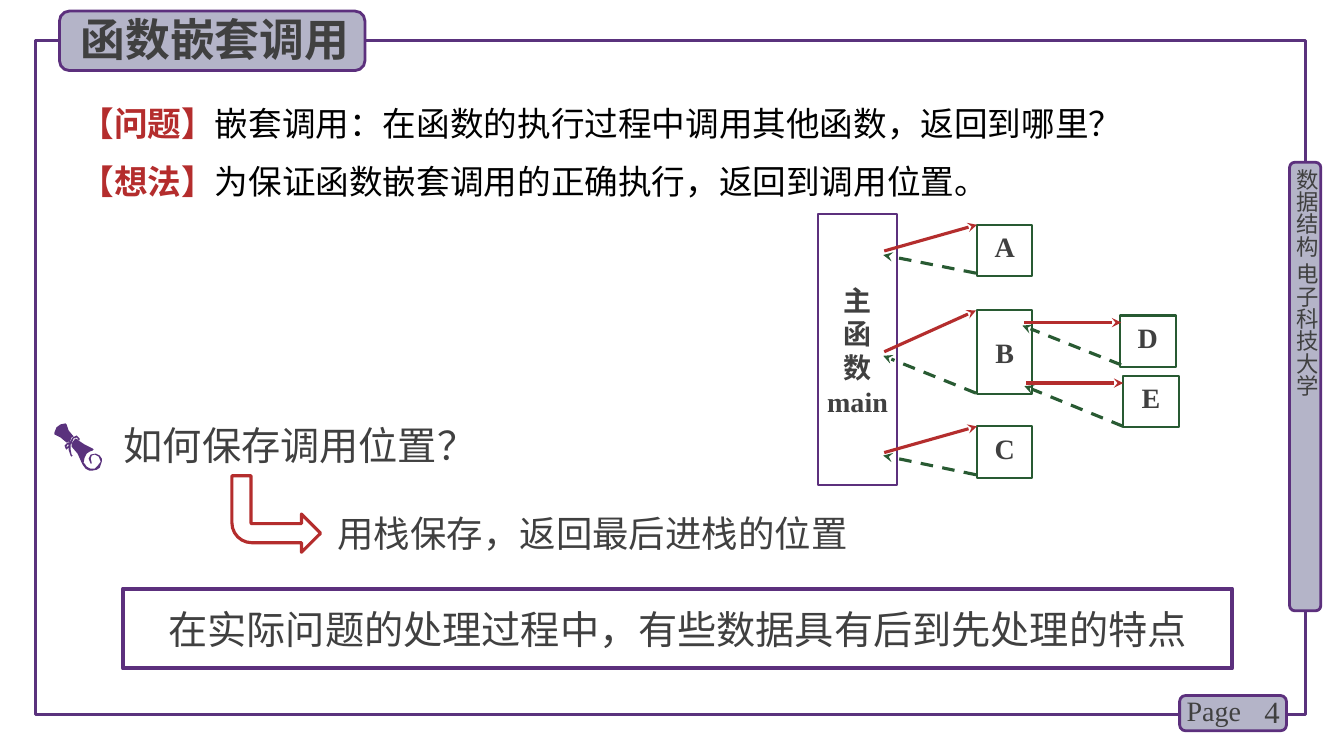
from pptx import Presentation
from pptx.dml.color import RGBColor
from pptx.enum.dml import MSO_LINE
from pptx.enum.shapes import MSO_CONNECTOR, MSO_SHAPE as SHAPE
from pptx.enum.text import MSO_ANCHOR as ANCHOR, PP_ALIGN as ALIGN
from pptx.oxml.ns import qn
from pptx.util import Pt
from lxml.etree import SubElement

PX = 9144  # 100 px to the inch
COLORS = {"frame": "5A327D", "purple": "5C307D", "pill": "B4B4C8", "text": "404040",
          "red": "B42D2D", "green": "285A32", "black": "000000"}
SERIF, CJK = "Times New Roman", "Noto Sans CJK SC"

presentation = Presentation()
presentation.slide_width, presentation.slide_height = 1333 * PX, 750 * PX
slide = presentation.slides.add_slide(presentation.slide_layouts[6])
shapes = slide.shapes


def add_box(kind, box, line, width, fill=None):
    shape = shapes.add_shape(kind, *[value * PX for value in box])
    shape.shadow.inherit = False
    if fill:
        shape.fill.solid()
        shape.fill.fore_color.rgb = RGBColor.from_string(COLORS[fill])
    else:
        shape.fill.background()
    shape.line.color.rgb = RGBColor.from_string(COLORS[line])
    shape.line.width = Pt(width)
    return shape


def write(shape, paragraphs, size, align=ALIGN.LEFT, anchor=ANCHOR.TOP):
    """Each paragraph is a list of (text, font, color, bold) runs."""
    frame = shape.text_frame
    frame.word_wrap = True
    frame.vertical_anchor = anchor
    for index, runs in enumerate(paragraphs):
        paragraph = frame.paragraphs[0] if index == 0 else frame.add_paragraph()
        paragraph.alignment = align
        for text, font, color, bold in runs:
            run = paragraph.add_run()
            run.text = text
            run.font.name, run.font.size, run.font.bold = font, Pt(size), bold
            run.font.color.rgb = RGBColor.from_string(COLORS[color])
            SubElement(run.font._element, qn("a:ea")).set("typeface", CJK)
    return frame


# Page frame and its labels
add_box(SHAPE.RECTANGLE, (35, 40, 1260, 669), "frame", 2.25)
for pill in [(1279, 161, 31, 445), (1170, 690, 106, 35), (59, 11, 303, 59)]:
    add_box(SHAPE.ROUNDED_RECTANGLE, pill, "purple", 2, "pill")

side_label = shapes.add_textbox(1283 * PX, 167 * PX, 27 * PX, 449 * PX)
frame = write(side_label, [[("数据结构 电子科技大学", CJK, "text", False)]], 16)
frame.margin_left = frame.margin_right = frame.margin_top = frame.margin_bottom = 0
side_label.element.txBody.bodyPr.set("vert", "eaVert")

# Title, questions and answers
TEXTS = [
    ((1220, 686, 59, 40), 22, ALIGN.RIGHT, [("4", SERIF, "text", False)]),
    ((1167, 683, 78, 44), 20, ALIGN.LEFT, [("Page", SERIF, "text", False)]),
    ((70, 7, 299, 64), 32, ALIGN.LEFT, [("函数嵌套调用", CJK, "text", True)]),
    ((70, 97, 1142, 50), 24, ALIGN.LEFT,
     [("【问题】", SERIF, "red", True),
      ("嵌套调用：在函数的执行过程中调用其他函数，返回到哪里？", CJK, "black", False)]),
    ((70, 153, 1212, 52), 24, ALIGN.LEFT,
     [("【想法】", SERIF, "red", True),
      ("为保证函数嵌套调用的正确执行，返回到调用位置。", CJK, "black", False)]),
    ((113, 413, 1162, 57), 28, ALIGN.LEFT, [("如何保存调用位置？", SERIF, "text", False)]),
    ((325, 502, 897, 54), 26, ALIGN.LEFT,
     [("用栈保存，返回最后进栈的位置", SERIF, "text", False)]),
]
for box, size, align, runs in TEXTS:
    text_box = shapes.add_textbox(*[value * PX for value in box])
    frame = write(text_box, [runs], size, align)
    if runs[0][0] == "【想法】":
        frame.paragraphs[0].line_spacing = Pt(30)
    elif runs[0][0] == "4":
        frame.vertical_anchor = ANCHOR.MIDDLE

conclusion = add_box(SHAPE.RECTANGLE, (122, 584, 1100, 79), "purple", 3)
write(conclusion, [[("在实际问题的处理过程中，有些数据具有后到先处理的特点", CJK, "text", False)]],
      28, ALIGN.CENTER, ANCHOR.MIDDLE)

# Scroll icon: upper roll, lower roll, ribbon with its loop
SCROLL = [
    [[(68, 438), (69, 439), (71, 434), (73, 433), (68, 427), (66, 421), (65, 420),
      (60, 421), (56, 424), (54, 429), (54, 431), (60, 434), (66, 439)]],
    [[(99, 452), (95, 450), (90, 451), (88, 455), (90, 460), (91, 460), (91, 459),
      (90, 455), (91, 452), (94, 451), (98, 453), (100, 458), (97, 462), (94, 465),
      (90, 465), (86, 463), (84, 460), (83, 459), (84, 454), (86, 450), (89, 448),
      (92, 447), (93, 446), (92, 445), (84, 441), (78, 437), (77, 436), (75, 435),
      (74, 436), (71, 440), (71, 443), (77, 450), (81, 459), (82, 461), (85, 465),
      (89, 467), (91, 467), (96, 466), (99, 464), (101, 458), (101, 455)]],
    [[(71, 453), (70, 452), (68, 446), (68, 444), (66, 446), (65, 445), (64, 442),
      (67, 439), (69, 439), (72, 434), (76, 432), (79, 435), (79, 437), (78, 437),
      (77, 435), (76, 434), (73, 435), (71, 440), (70, 441), (70, 446), (71, 451),
      (72, 452)],
     [(67, 441), (66, 443), (66, 444), (68, 442), (68, 441)]],
]
for contours in SCROLL:
    builder = shapes.build_freeform(*contours[0][0], scale=PX)
    builder.add_line_segments(contours[0][1:])
    for contour in contours[1:]:
        builder.move_to(*contour[0])
        builder.add_line_segments(contour[1:])
    shape = builder.convert_to_shape()
    shape.shadow.inherit = False
    shape.fill.solid()
    shape.fill.fore_color.rgb = RGBColor.from_string(COLORS["frame"])
    shape.line.fill.background()

# Bent arrow from question to answer
bent_arrow = add_box(SHAPE.BENT_ARROW, (230, 472, 88, 76), "red", 2.25)
bent_arrow.adjustments[3] = 0.26
bent_arrow.element.spPr.xfrm.set("flipV", "1")

# Call diagram: main function and the functions it calls
main_box = add_box(SHAPE.RECTANGLE, (811, 212, 79, 269), "purple", 1.5)
frame = write(main_box, [[(line, SERIF, "text", True)] for line in ("主", "函", "数", "main")],
              20, ALIGN.CENTER)
frame.margin_left = frame.margin_right = 0
frame.margin_top = 69 * PX

FUNCTIONS = [("A", 969, 223, 51), ("B", 969, 308, 83), ("C", 969, 423, 51),
             ("D", 1111, 313, 51), ("E", 1114, 373, 51)]
for name, left, top, height in FUNCTIONS:
    shape = add_box(SHAPE.RECTANGLE, (left, top, 55, height), "green", 1.5)
    write(shape, [[(name, SERIF, "text", True)]], 20, ALIGN.CENTER,
          ANCHOR.MIDDLE if name == "B" else ANCHOR.TOP)

# Red call arrows and dashed green return arrows
CALLS = [(877, 249, 969, 223), (877, 349, 968, 308), (877, 449, 969, 423),
         (1016, 320, 1112, 320), (1018, 380, 1114, 380)]
RETURNS = [(968, 271, 876, 253), (968, 390, 876, 353), (968, 471, 876, 452),
           (1112, 362, 1014, 323), (1114, 423, 1016, 383)]
for color, arrows in (("red", CALLS), ("green", RETURNS)):
    for ends in arrows:
        arrow = shapes.add_connector(MSO_CONNECTOR.STRAIGHT, *[value * PX for value in ends])
        arrow.line.color.rgb = RGBColor.from_string(COLORS[color])
        arrow.line.width = Pt(2.25)
        if color == "green":
            arrow.line.dash_style = MSO_LINE.DASH
        SubElement(arrow.line._get_or_add_ln(), qn("a:tailEnd")).set("type", "stealth")
        SubElement(arrow.element.spPr, qn("a:effectLst"))

presentation.save("out.pptx")
